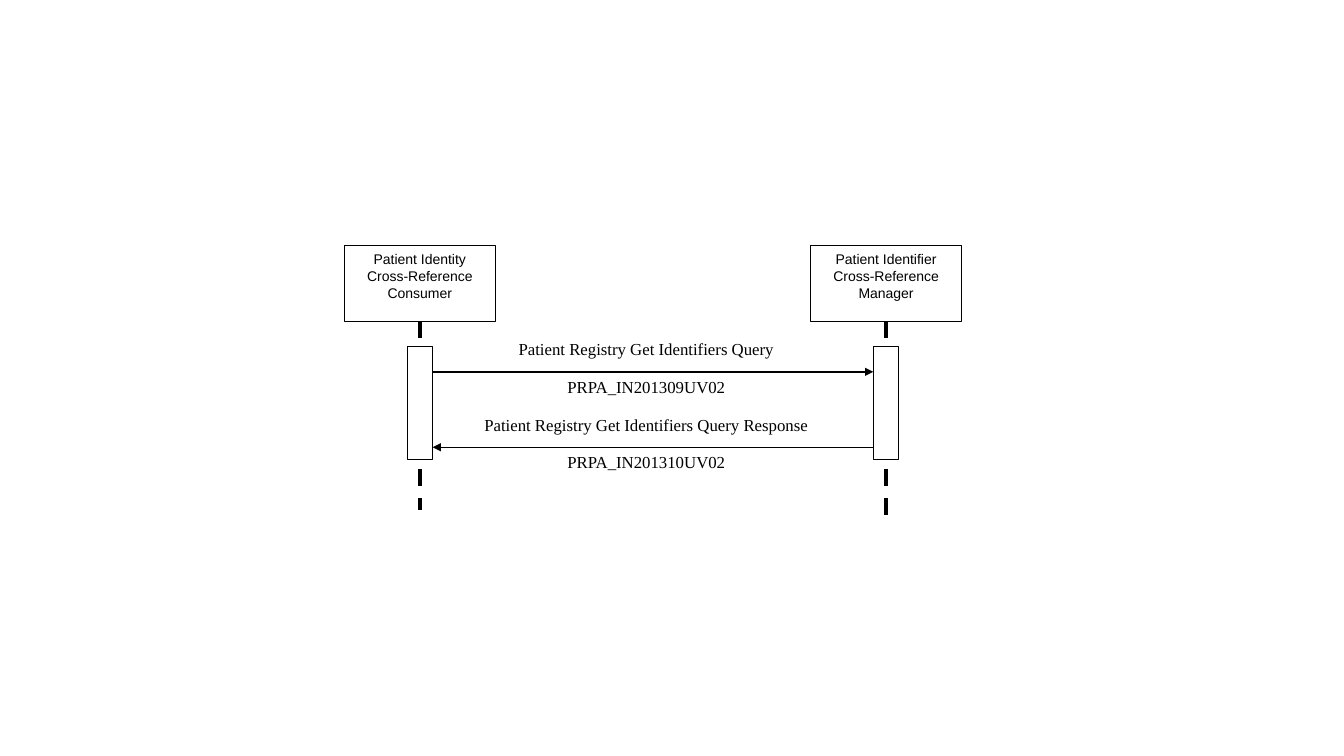
from lxml.etree import SubElement
from pptx import Presentation
from pptx.dml.color import RGBColor
from pptx.enum.dml import MSO_LINE
from pptx.enum.shapes import MSO_CONNECTOR, MSO_SHAPE
from pptx.enum.text import MSO_ANCHOR, PP_ALIGN
from pptx.oxml.ns import qn
from pptx.util import Cm, Pt

COLORS = {"ink": "000000", "paper": "FFFFFF"}

# Name, centre of the lifeline and its lower end, in cm
ACTORS = [
    ("Patient Identity Cross-Reference Consumer", 10.58, 12.86),
    ("Patient Identifier Cross-Reference Manager", 22.33, 13.18),
]
# Label, label width in cm, interaction identifier, sender, receiver
MESSAGES = [
    ("Patient Registry Get Identifiers Query", 8.26, "PRPA_IN201309UV02", 0, 1),
    ("Patient Registry Get Identifiers Query Response", 9.21, "PRPA_IN201310UV02", 1, 0),
]

ACTOR_TOP, ACTOR_WIDTH, ACTOR_HEIGHT = 6.19, 3.81, 1.91
BAR_TOP, BAR_WIDTH, BAR_HEIGHT = 8.73, 0.64, 2.86
FIRST_MESSAGE, MESSAGE_STEP = 9.37, 1.9
LABEL_CENTRE, LABEL_WIDTH, LABEL_HEIGHT = 16.29, 8.26, 0.95


def color(name):
    return RGBColor.from_string(COLORS[name])


def add_box(shapes, centre, top, width, height, text="", font="Arial", size=10, outlined=True):
    shape = shapes.add_shape(MSO_SHAPE.RECTANGLE, Cm(centre - width / 2), Cm(top), Cm(width), Cm(height))
    shape.shadow.inherit = False
    shape.fill.solid()
    shape.fill.fore_color.rgb = color("paper")
    if outlined:
        shape.line.color.rgb = color("ink")
        shape.line.width = Pt(0.75)
    else:
        shape.line.fill.background()
    if text:
        frame = shape.text_frame
        frame.word_wrap = True
        frame.vertical_anchor = MSO_ANCHOR.TOP
        paragraph = frame.paragraphs[0]
        paragraph.alignment = PP_ALIGN.CENTER
        run = paragraph.add_run()
        run.text = text
        run.font.name = font
        run.font.size = Pt(size)
        run.font.color.rgb = color("ink")


def add_line(shapes, start, end, width):
    connector = shapes.add_connector(MSO_CONNECTOR.STRAIGHT, *map(Cm, start + end))
    connector.line.color.rgb = color("ink")
    connector.line.width = Pt(width)
    SubElement(connector._element.spPr, qn("a:effectLst"))
    return connector


def add_arrow(shapes, start, end):
    connector = add_line(shapes, start, end, 1)
    SubElement(connector.line._get_or_add_ln(), qn("a:tailEnd"), type="triangle")


def main():
    presentation = Presentation()
    presentation.slide_width, presentation.slide_height = Cm(33.87), Cm(19.05)
    slide = presentation.slides.add_slide(presentation.slide_layouts[6])
    shapes = slide.shapes.add_group_shape().shapes

    for name, centre, lifeline_end in ACTORS:
        add_box(shapes, centre, ACTOR_TOP, ACTOR_WIDTH, ACTOR_HEIGHT, name)
        lifeline = add_line(shapes, (centre, ACTOR_TOP + ACTOR_HEIGHT), (centre, lifeline_end), 3)
        lifeline.line.dash_style = MSO_LINE.DASH
        add_box(shapes, centre, BAR_TOP, BAR_WIDTH, BAR_HEIGHT)

    for index, (label, label_width, identifier, sender, receiver) in enumerate(MESSAGES):
        y = FIRST_MESSAGE + index * MESSAGE_STEP
        for text, top, width in ((label, y - LABEL_HEIGHT, label_width), (identifier, y, LABEL_WIDTH)):
            add_box(shapes, LABEL_CENTRE, top, width, LABEL_HEIGHT, text, "Times New Roman", 12, outlined=False)
        direction = receiver - sender
        start = ACTORS[sender][1] + direction * BAR_WIDTH / 2
        end = ACTORS[receiver][1] - direction * BAR_WIDTH / 2
        add_arrow(shapes, (start, y), (end, y))

    presentation.save("out.pptx")


if __name__ == "__main__":
    main()
